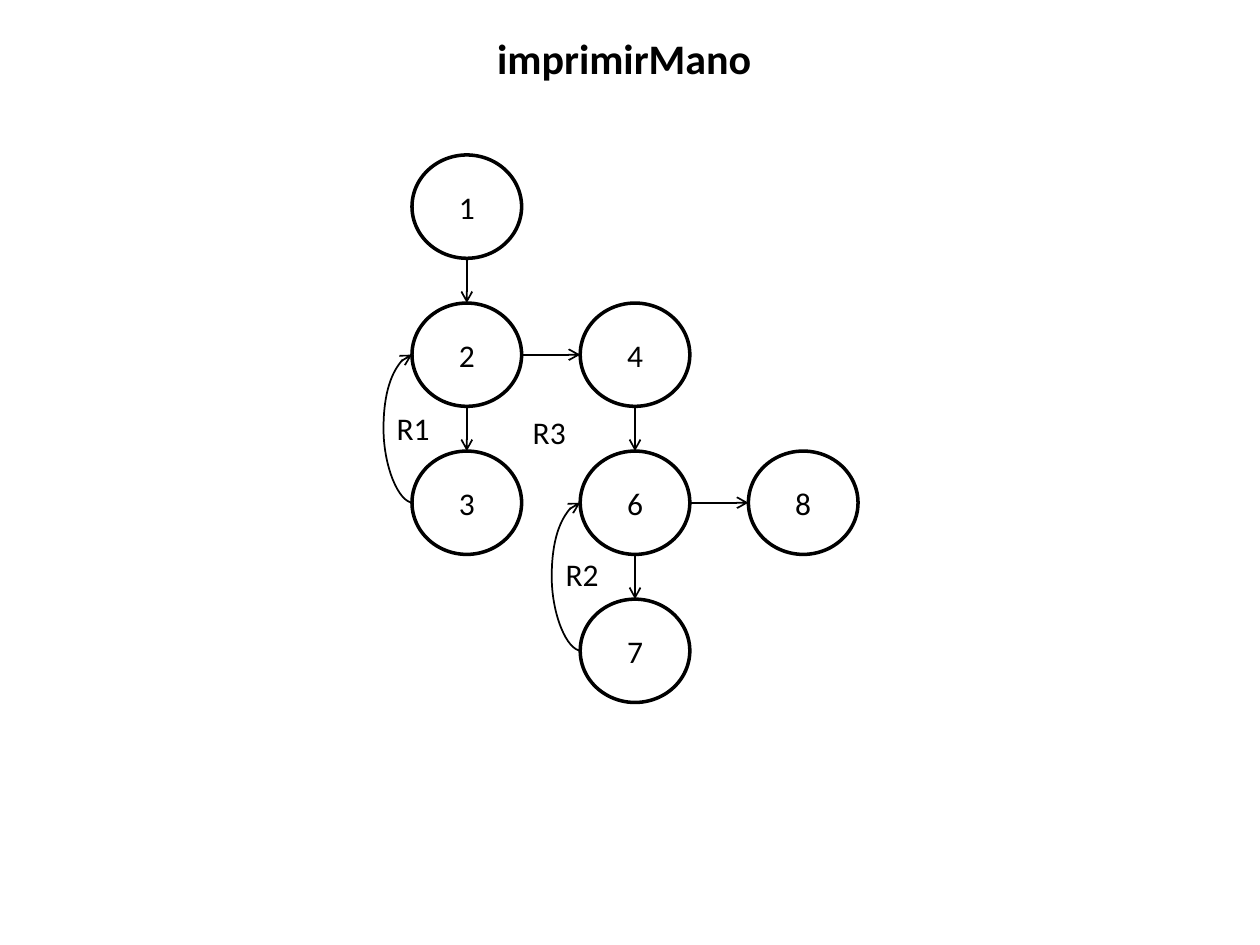
from dataclasses import dataclass
from lxml import etree
from pptx import Presentation
from pptx.dml.color import RGBColor
from pptx.enum import shapes, text
from pptx.oxml import ns
from pptx.util import Inches, Pt

TITLE = "imprimirMano"
NODES = {"1": (0, 0), "2": (0, 1), "3": (0, 2), "4": (1, 1), "6": (1, 2), "7": (1, 3), "8": (2, 2)}
STEPS = [("1", "2"), ("2", "3"), ("2", "4"), ("4", "6"), ("6", "7"), ("6", "8")]
LOOPS = [("3", "2"), ("7", "6")]
REGIONS = [("R1", 3.05, 3.2), ("R2", 4.39, 4.36), ("R3", 4.13, 3.23)]

LEFT, TOP = 3.27, 1.23
COLUMN_PITCH, ROW_PITCH = 1.335, 1.175
NODE_WIDTH, NODE_HEIGHT = 0.87, 0.82
LOOP_WIDTH, LOOP_BULGE = 0.01, 0.24


@dataclass(frozen=True)
class Theme:
    ink: RGBColor = RGBColor(0, 0, 0)
    paper: RGBColor = RGBColor(255, 255, 255)
    font: str = "Calibri"
    title_size: int = 24
    body_size: int = 18
    node_line: float = 2
    arrow_line: float = 1


theme = Theme()
presentation = Presentation()
presentation.slide_width, presentation.slide_height = Inches(10), Inches(7.5)
slide = presentation.slides.add_slide(presentation.slide_layouts[5])
slide.background.fill.solid()
slide.background.fill.fore_color.rgb = theme.paper


def write(shape, content, size=theme.body_size, bold=False, align=text.PP_ALIGN.CENTER,
          anchor=text.MSO_ANCHOR.MIDDLE, wrap=True, fit=text.MSO_AUTO_SIZE.NONE):
    frame = shape.text_frame
    frame.word_wrap = wrap
    frame.auto_size = fit
    frame.vertical_anchor = anchor
    paragraph = frame.paragraphs[0]
    paragraph.alignment = align
    run = paragraph.add_run()
    run.text = content
    run.font.name = theme.font
    run.font.size = Pt(size)
    run.font.bold = bold
    run.font.color.rgb = theme.ink


def node_corner(name):
    column, row = NODES[name]
    return LEFT + column * COLUMN_PITCH, TOP + row * ROW_PITCH


def add_node(name):
    x, y = node_corner(name)
    node = slide.shapes.add_shape(shapes.MSO_SHAPE.OVAL, Inches(x), Inches(y),
                                  Inches(NODE_WIDTH), Inches(NODE_HEIGHT))
    node.shadow.inherit = False
    node.fill.background()
    node.line.color.rgb = theme.ink
    node.line.width = Pt(theme.node_line)
    write(node, name)


def add_arrow(kind, *ends):
    arrow = slide.shapes.add_connector(kind, *(Inches(value) for value in ends))
    arrow.line.color.rgb = theme.ink
    arrow.line.width = Pt(theme.arrow_line)
    properties = arrow.element.spPr
    etree.SubElement(properties.find(ns.qn("a:ln")), ns.qn("a:tailEnd"), type="arrow")
    etree.SubElement(properties, ns.qn("a:effectLst"))
    return arrow


def add_step(source, target):
    x1, y1 = node_corner(source)
    x2, y2 = node_corner(target)
    if x1 == x2:
        middle = x1 + NODE_WIDTH / 2
        ends = middle, y1 + NODE_HEIGHT, middle, y2
    else:
        ends = x1 + NODE_WIDTH, y1 + NODE_HEIGHT / 2, x2, y2 + NODE_HEIGHT / 2
    add_arrow(shapes.MSO_CONNECTOR.STRAIGHT, *ends)


def add_loop(source, target):
    x, bottom = node_corner(source)
    top = node_corner(target)[1]
    half = NODE_HEIGHT / 2
    loop = add_arrow(shapes.MSO_CONNECTOR.CURVE, x, top + half, x + LOOP_WIDTH, bottom + half)
    properties = loop.element.spPr
    properties.find(ns.qn("a:xfrm")).set("rot", str(180 * 60000))
    geometry = properties.find(ns.qn("a:prstGeom"))
    adjustments = geometry.find(ns.qn("a:avLst"))
    if adjustments is None:
        adjustments = etree.SubElement(geometry, ns.qn("a:avLst"))
    bend = round(LOOP_BULGE / LOOP_WIDTH * 100000)
    etree.SubElement(adjustments, ns.qn("a:gd"), name="adj1", fmla=f"val {bend}")


title = slide.shapes.title
title.left, title.top, title.width, title.height = map(Inches, (1.05, 0.21, 7.81, 0.5))
write(title, TITLE, size=theme.title_size, bold=True, anchor=text.MSO_ANCHOR.TOP)

for name in NODES:
    add_node(name)
for step in STEPS:
    add_step(*step)
for loop_ends in LOOPS:
    add_loop(*loop_ends)
for region, x, y in REGIONS:
    label = slide.shapes.add_textbox(Inches(x), Inches(y), Inches(0.47), Inches(0.4))
    write(label, region, align=text.PP_ALIGN.LEFT, anchor=text.MSO_ANCHOR.TOP, wrap=False,
          fit=text.MSO_AUTO_SIZE.SHAPE_TO_FIT_TEXT)

presentation.save("out.pptx")
